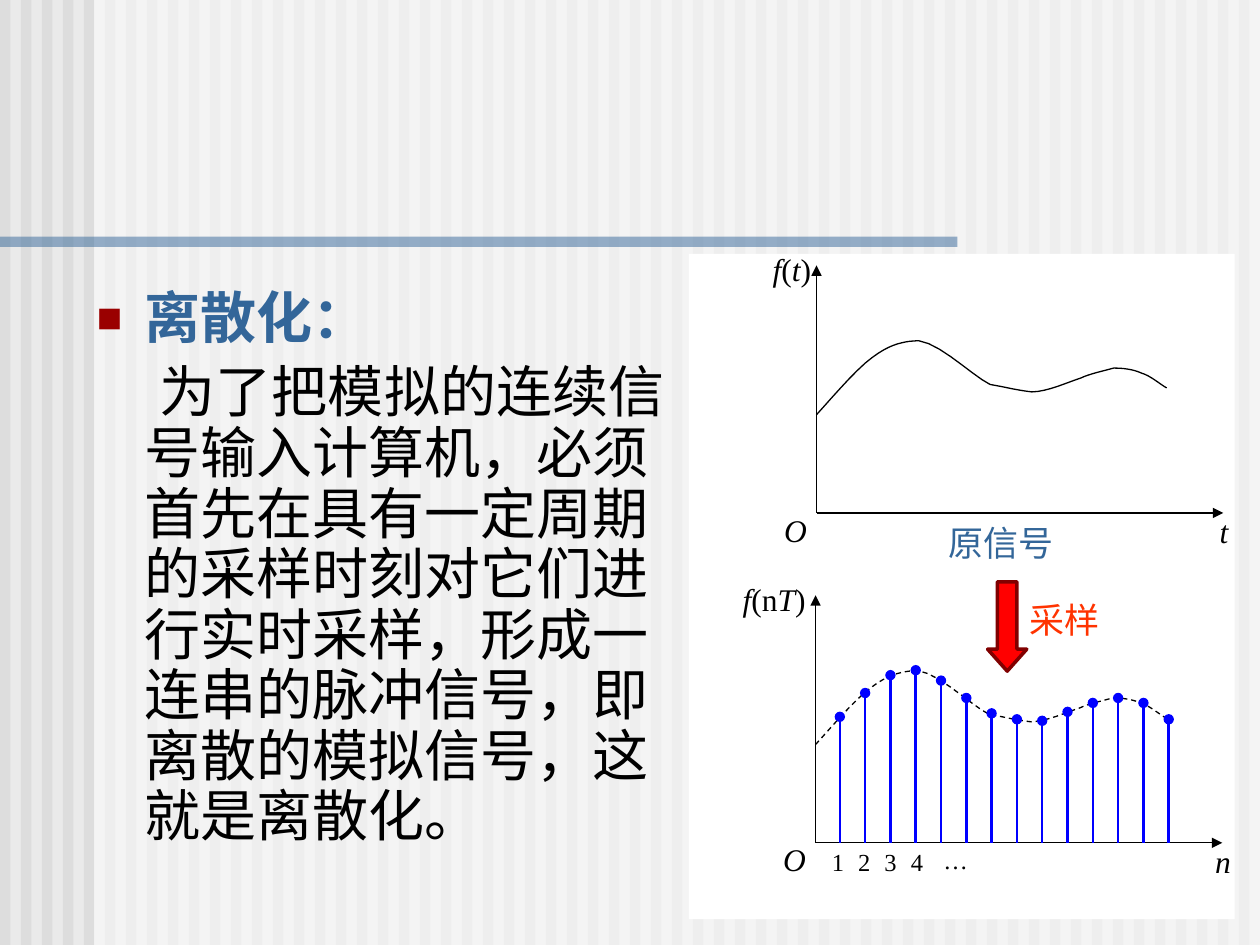
"""Build a slide on discretization: explanation beside a signal and its samples."""
from lxml.etree import SubElement
from pptx import Presentation
from pptx.dml.color import RGBColor
from pptx.enum.dml import MSO_LINE
from pptx.enum.shapes import MSO_CONNECTOR, MSO_SHAPE
from pptx.enum.text import MSO_ANCHOR, MSO_AUTO_SIZE, PP_ALIGN
from pptx.oxml.ns import qn
from pptx.util import Cm, Pt

BLACK = RGBColor(0, 0, 0)
WHITE = RGBColor(255, 255, 255)
PAPER = RGBColor(0xEA, 0xEA, 0xEA)
STRIPE = RGBColor(0xDD, 0xDD, 0xDD)
STEEL = RGBColor(0x33, 0x66, 0x99)
BLUE = RGBColor(0, 0, 255)
RED = RGBColor(255, 0, 0)
MAROON = RGBColor(0x80, 0, 0)
ORANGE = RGBColor(0xFF, 0x33, 0)
BODY_FONT = "DejaVu Sans"
LABEL_FONT = "Times New Roman"


def add_span(para, text, font, size, color, bold=False, italic=False):
    span = para.add_run()
    span.text = text
    span.font.name = font
    span.font.size = Pt(size)
    span.font.bold = bold
    span.font.italic = italic
    span.font.color.rgb = color
    SubElement(span.font._element, qn("a:ea"), typeface=BODY_FONT)


def add_label(left, top, spans, size=18, color=BLACK, width=0.99, height=0.79):
    box = page.shapes.add_textbox(Cm(left), Cm(top), Cm(width), Cm(height))
    box.text_frame.word_wrap = False
    box.text_frame.vertical_anchor = MSO_ANCHOR.MIDDLE
    para = box.text_frame.paragraphs[0]
    para.alignment = PP_ALIGN.CENTER
    for text, italic in spans:
        add_span(para, text, LABEL_FONT, size, color, italic=italic)


deck = Presentation()
deck.slide_width, deck.slide_height = Cm(25.4), Cm(19.05)
page = deck.slides.add_slide(deck.slide_layouts[1])
page.background.fill.solid()
page.background.fill.fore_color.rgb = PAPER
title = page.shapes.title.element
title.getparent().remove(title)

backdrop = [(25.4 / 60 * i, 0, 0.21, 19.05, STRIPE, 100) for i in range(60)]
backdrop += [
    (1.9, 0, 23.5, 19.05, WHITE, 50),
    (0, 4.77, 19.3, 0.21, STEEL, 50),
    (13.89, 5.12, 11, 13.41, WHITE, 100),
]
for left, top, width, height, color, opacity in backdrop:
    band = page.shapes.add_shape(MSO_SHAPE.RECTANGLE, Cm(left), Cm(top), Cm(width), Cm(height))
    band.shadow.inherit = False
    band.line.fill.background()
    band.fill.solid()
    band.fill.fore_color.rgb = color
    if opacity < 100:
        tint = band.element.spPr.find(qn("a:solidFill"))[0]
        SubElement(tint, qn("a:alpha"), val=str(opacity * 1000))

body = page.placeholders[1]
body.element.getparent().append(body.element)
body.left, body.top, body.width, body.height = Cm(1.7), Cm(5.72), Cm(12.01), Cm(11.63)
frame = body.text_frame
frame.word_wrap = True
frame.auto_size = MSO_AUTO_SIZE.NONE
frame.vertical_anchor = MSO_ANCHOR.TOP

heading = frame.paragraphs[0]
props = heading._p.get_or_add_pPr()
props.set("marL", str(Cm(0.95)))
props.set("indent", str(Cm(-0.95)))
SubElement(SubElement(props, qn("a:buClr")), qn("a:srgbClr"), val="9A0000")
SubElement(props, qn("a:buSzPct"), val="48000")
SubElement(props, qn("a:buFont"), typeface=BODY_FONT)
SubElement(props, qn("a:buChar"), char="■")
add_span(heading, "离散化：", BODY_FONT, 32, STEEL, bold=True)

explanation = frame.add_paragraph()
props = explanation._p.get_or_add_pPr()
props.set("marL", str(Cm(0.95)))
props.set("indent", str(Cm(0.32)))
SubElement(props, qn("a:buNone"))
add_span(
    explanation,
    "为了把模拟的连续信号输入计算机，必须首先在具有一定周期的采样时刻对它们进行实时采样，"
    "形成一连串的脉冲信号，即离散的模拟信号，这就是离散化。",
    BODY_FONT, 32, BLACK,
)
for para, gap in ((heading, 0), (explanation, 8)):
    para.line_spacing = 0.9
    para.space_before = Pt(gap)

curve_start = (16.46, 8.36)
curve_pieces = [
    ((16.59, 8.23), (17.25, 7.44), (17.58, 7.21)),
    ((17.91, 6.96), (18.14, 6.91), (18.34, 6.88)),
    ((18.77, 6.73), (19.58, 7.57), (19.96, 7.75)),
    ((20.35, 7.82), (20.52, 7.87), (20.8, 7.9)),
    ((21.11, 7.9), (21.54, 7.7), (21.79, 7.62)),
    ((21.95, 7.54), (22.28, 7.47), (22.45, 7.42)),
    ((22.63, 7.42), (22.83, 7.44), (23.01, 7.52)),
    ((23.19, 7.57), (23.42, 7.77), (23.52, 7.82)),
]
curve = [curve_start]
for piece in curve_pieces:
    knots = (curve[-1], *piece)
    for step in range(1, 9):
        t = step / 8
        weights = ((1 - t) ** 3, 3 * t * (1 - t) ** 2, 3 * t * t * (1 - t), t ** 3)
        curve.append(tuple(sum(w * knot[axis] for w, knot in zip(weights, knots)) for axis in (0, 1)))

plots = [
    (0, 0, "t", 14.47, [("f", True), ("(", False), ("t", True), (")", False)], None),
    (-0.02, 6.65, "n", 14.11, [("f", True), ("(n", False), ("T", True), (")", False)], MSO_LINE.DASH),
]
lines = []
for dx, dy, variable, name_left, name, dash in plots:
    x, y = 16.46 + dx, 10.34 + dy
    lines.append((x, y, x + 8.2, y, BLACK, 0.75, "a:tailEnd", "triangle"))
    lines.append((x, y, x, y - 4.99, BLACK, 0.75, "a:tailEnd", "triangle"))
    add_label(15.54 + dx, 10.28 + dy, [("O", True)])
    add_label(24.18 + dx, 10.31 + dy, [(variable, True)])
    add_label(name_left, 5.03 + dy, name, width=2.99)
    points = [(Cm(px + dx), Cm(py + dy)) for px, py in curve]
    builder = page.shapes.build_freeform(*points[0])
    builder.add_line_segments(points[1:], close=False)
    signal = builder.convert_to_shape()
    signal.shadow.inherit = False
    signal.fill.background()
    signal.line.color.rgb = BLACK
    signal.line.width = Pt(0.75)
    if dash:
        signal.line.dash_style = dash

sample_tops = [14.45, 13.97, 13.61, 13.51, 13.72, 14.07, 14.38,
               14.5, 14.53, 14.35, 14.17, 14.07, 14.17, 14.5]
for index, top in enumerate(sample_tops):
    x = 16.93 + 0.51 * index
    lines.append((x, top, x, 16.99, BLUE, 1.5, "a:headEnd", "oval"))

for x1, y1, x2, y2, color, weight, end, tip in lines:
    line = page.shapes.add_connector(MSO_CONNECTOR.STRAIGHT, Cm(x1), Cm(y1), Cm(x2), Cm(y2))
    line.line.color.rgb = color
    line.line.width = Pt(weight)
    SubElement(line.line._get_or_add_ln(), qn(end), type=tip)
    SubElement(line._element.spPr, qn("a:effectLst"))

for index in range(4):
    add_label(16.4 + 0.53 * index, 16.97, [(str(index + 1), False)], size=14)
add_label(18.16, 16.92, [("…", False)], size=14, width=2.21, height=0.81)
add_label(18.49, 10.54, [("原信号", False)], 20, STEEL, 3.4, 0.81)
add_label(20.35, 12.09, [("采样", False)], 20, ORANGE, 2.21, 0.81)

arrow = page.shapes.add_shape(MSO_SHAPE.DOWN_ARROW, Cm(19.91), Cm(11.73), Cm(0.79), Cm(1.8))
arrow.shadow.inherit = False
arrow.adjustments[0] = 0.5
arrow.adjustments[1] = 0.56
arrow.fill.solid()
arrow.fill.fore_color.rgb = RED
arrow.line.color.rgb = MAROON
arrow.line.width = Pt(2)

deck.save("out.pptx")
